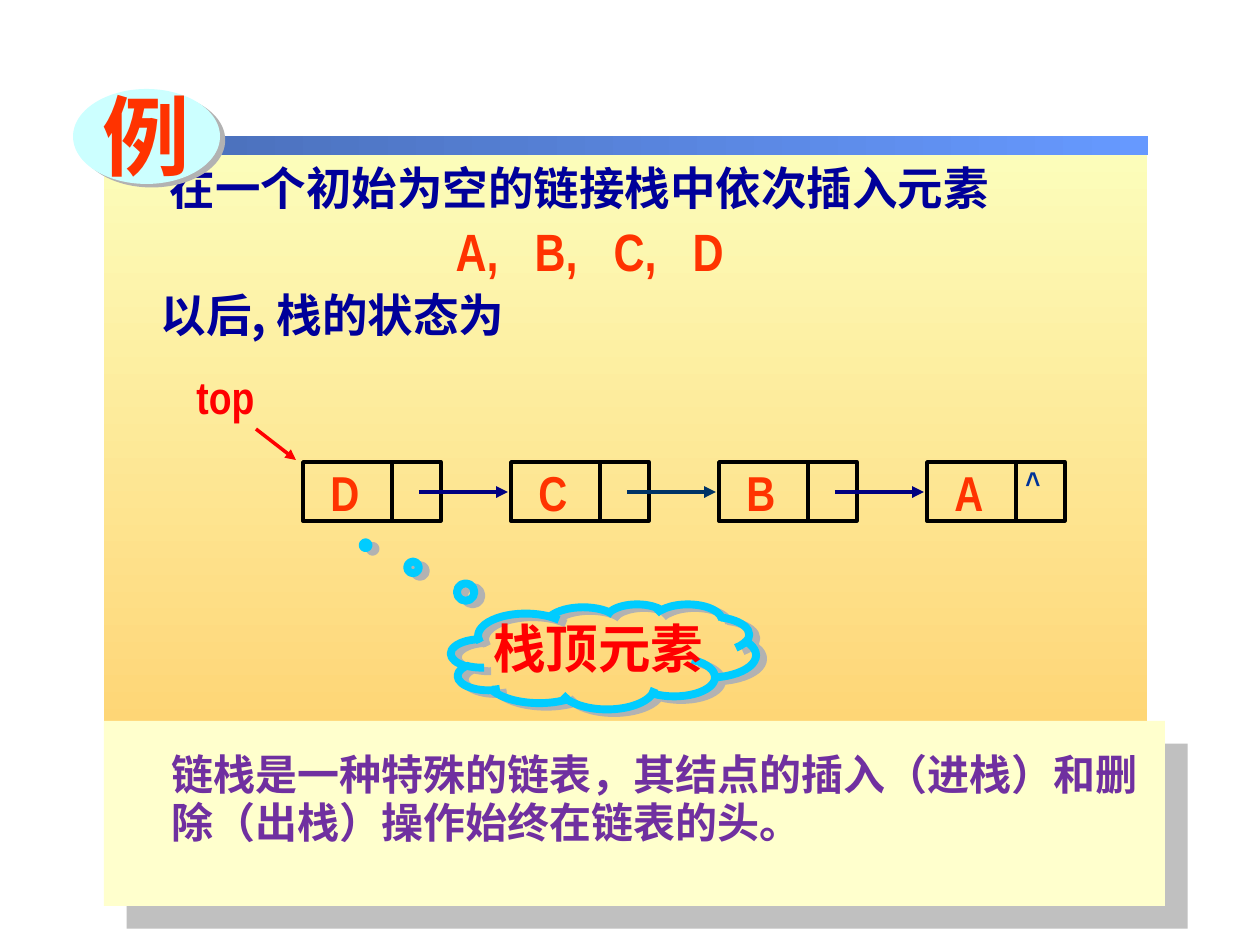
from pptx import Presentation
from pptx.dml.color import RGBColor
from pptx.enum.shapes import MSO_CONNECTOR, MSO_SHAPE
from pptx.enum.text import MSO_ANCHOR, MSO_AUTO_SIZE, PP_ALIGN
from pptx.oxml.ns import qn
from pptx.util import Emu, Pt
from lxml.etree import SubElement

SCALE = 914400 / 126
LATIN = "Arial Narrow"
HAN = "Noto Sans CJK SC"


def px(n):
    return Emu(round(n * SCALE))


def hue(code):
    return RGBColor.from_string(code)


def shade(effects, code, dist, angle):
    node = SubElement(effects, qn("a:outerShdw"), blurRad="0", dist=str(Pt(dist)),
                      dir=str(angle * 60000), algn="ctr", rotWithShape="0")
    SubElement(node, qn("a:srgbClr"), val=code)


def add_run(para, text, size, code, font=LATIN, gap=None, drop=False):
    run = para.add_run()
    run.text = text
    run.font.size = Pt(size)
    run.font.bold = True
    run.font.color.rgb = hue(code)
    run.font.name = font
    props = run.font._element
    SubElement(props, qn("a:ea"), typeface=HAN)
    if gap:
        props.set("spc", str(gap))
    if drop:
        effects = SubElement(props, qn("a:effectLst"))
        shade(effects, "000000", 2, 45)
        props.find(qn("a:solidFill")).addnext(effects)


def set_para(para, indent=0, line=1.0, gap=0):
    para.alignment = PP_ALIGN.LEFT
    para.line_spacing = line
    para.space_before = para.space_after = Pt(gap)
    props = para._p.get_or_add_pPr()
    props.set("marL", str(px(indent)))
    props.set("indent", "0")
    SubElement(props, qn("a:buNone"))


def set_frame(shape, wrap=True):
    frame = shape.text_frame
    frame.word_wrap = wrap
    frame.auto_size = MSO_AUTO_SIZE.NONE
    frame.vertical_anchor = MSO_ANCHOR.TOP
    return frame


def add_text(slide, box, text, size, code, font=LATIN, line=1.0, wrap=True, drop=False):
    shape = slide.shapes.add_textbox(*map(px, box))
    para = set_frame(shape, wrap).paragraphs[0]
    set_para(para, line=line)
    add_run(para, text, size, code, font, drop=drop)


def add_form(slide, kind, box, fill=None, line=None, width=2, shadow=None):
    shape = slide.shapes.add_shape(kind, *map(px, box))
    if fill:
        shape.fill.solid()
        shape.fill.fore_color.rgb = hue(fill)
    else:
        shape.fill.background()
    if line:
        shape.line.color.rgb = hue(line)
        shape.line.width = Pt(width)
    else:
        shape.line.fill.background()
    shape.shadow.inherit = False
    if shadow:
        shade(shape._element.spPr.find(qn("a:effectLst")), *shadow)
    return shape


def add_blend(slide, box, codes, angle):
    fill = add_form(slide, MSO_SHAPE.RECTANGLE, box).fill
    fill.gradient()
    fill.gradient_angle = angle
    for stop, code in zip(fill.gradient_stops, codes):
        stop.color.rgb = hue(code)


def add_arrow(slide, start, end, code, width=2.25):
    arrow = slide.shapes.add_connector(MSO_CONNECTOR.STRAIGHT, *map(px, start + end))
    arrow.line.color.rgb = hue(code)
    arrow.line.width = Pt(width)
    SubElement(arrow.line._get_or_add_ln(), qn("a:tailEnd"), type="triangle")
    SubElement(arrow._element.spPr, qn("a:effectLst"))


def place(slide, shape, box):
    shape.left, shape.top, shape.width, shape.height = map(px, box)
    slide.shapes._spTree.append(shape._element)


def add_body(slide):
    body = slide.placeholders[1]
    place(slide, body, (74, 160, 1081, 193))
    frame = set_frame(body)
    first, items, last = frame.paragraphs[0], frame.add_paragraph(), frame.add_paragraph()
    set_para(first, 83, 0.9)
    add_run(first, "在一个初始为空的链接栈中依次插入元素", 26, "00009A", HAN)
    set_para(items, 369, 0.9, 6)
    for word in ("A,", "B,", "C,"):
        add_run(items, word, 30, "FF3300")
        add_run(items, " ", 30, "FF3300", gap=1370)
    add_run(items, "D", 30, "FF3300")
    set_para(last, 74, 0.9)
    add_run(last, "以后, 栈的状态为", 26, "00009A", HAN)


def add_title(slide):
    add_form(slide, MSO_SHAPE.OVAL, (73, 89, 147, 95), "CCFFFF",
             shadow=("B2B2B2", 3.6, 34))
    title = slide.shapes.title
    place(slide, title, (90, 76, 113, 117))
    para = set_frame(title, False).paragraphs[0]
    set_para(para)
    add_run(para, "例", 50, "FF3300", drop=True)


def add_cloud(slide):
    cloud = add_form(slide, MSO_SHAPE.CLOUD_CALLOUT, (451, 604, 305, 105),
                     line="00CCFF", width=4.5, shadow=("B2B2B2", 4.5, 27))
    cloud.adjustments[0] = -0.78
    cloud.adjustments[1] = -1.06
    add_text(slide, (481, 610, 281, 76), "栈顶元素", 30, "FF0000", drop=True)


def add_chain(slide):
    first, step, top = 303, 208, 462
    for i, name in enumerate("DCBA"):
        left = first + i * step
        for x, width in ((left, 89), (left + 89, 49)):
            add_form(slide, MSO_SHAPE.RECTANGLE, (x, top, width, 59), line="000000")
        add_text(slide, (left + 15, top - 6, 60, 72), name, 28, "FF3300", wrap=False)
    for i, code in enumerate(("000080", "003366", "000080")):
        left = first + i * step
        add_arrow(slide, (left + 116, 492), (left + 205, 492), code)
    add_text(slide, (1013, 457, 58, 79), "^", 18, "003399", wrap=False)
    add_text(slide, (184, 363, 120, 67), "top", 26, "FF0000")
    add_arrow(slide, (256, 429), (296, 460), "FF0000", 2)


def add_note(slide):
    add_form(slide, MSO_SHAPE.RECTANGLE, (104, 721, 1061, 185), "FFFFCD",
             shadow=("C0C0C0", 18.4, 45))
    add_text(slide, (159, 746, 1018, 110),
             "链栈是一种特殊的链表，其结点的插入（进栈）和删除（出栈）操作始终在链表的头。",
             24, "7030A0", HAN, 0.95)


def main():
    deck = Presentation()
    deck.slide_width, deck.slide_height = px(1260), px(945)
    slide = deck.slides.add_slide(deck.slide_layouts[1])
    add_blend(slide, (104, 139, 1043, 721), ("FCFEBC", "FFCC66"), 270)
    add_blend(slide, (106, 136, 1042, 19), ("496DB6", "6699FF"), 0)
    add_cloud(slide)
    add_body(slide)
    add_title(slide)
    add_chain(slide)
    add_note(slide)
    deck.save("out.pptx")


if __name__ == "__main__":
    main()
